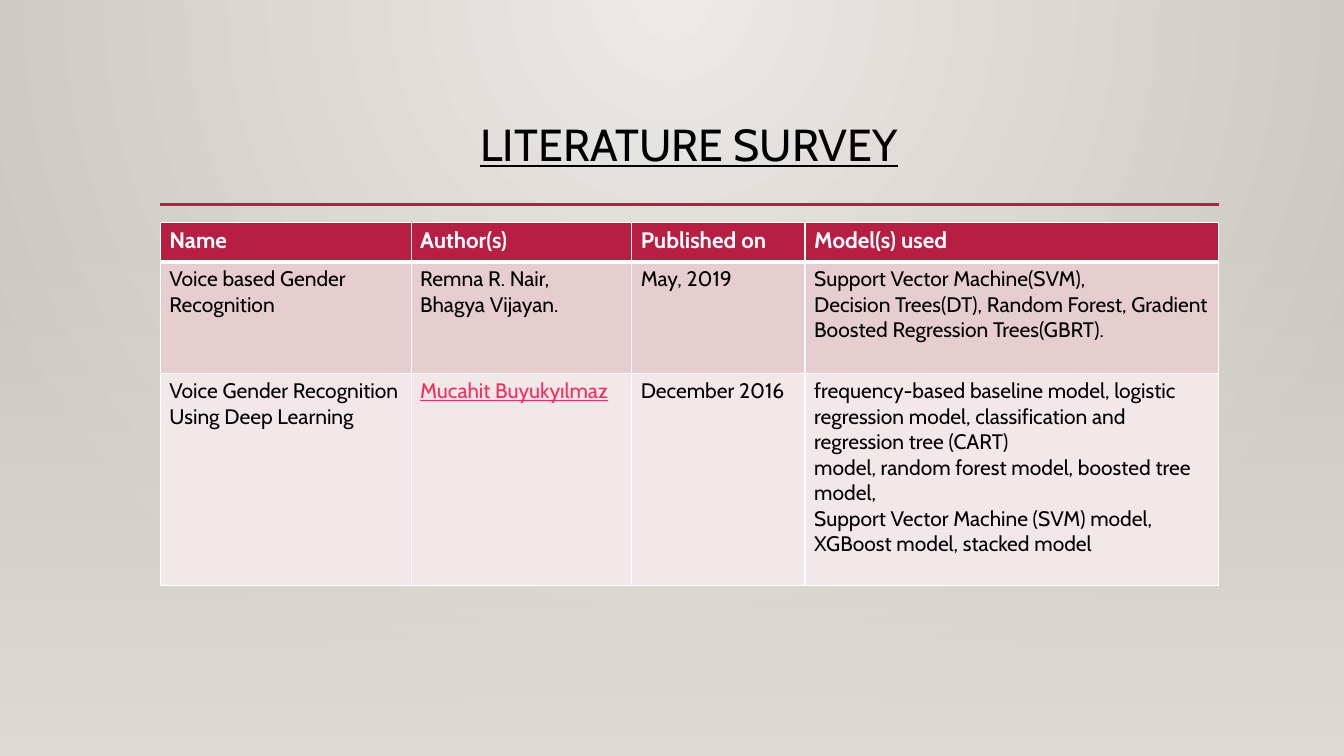
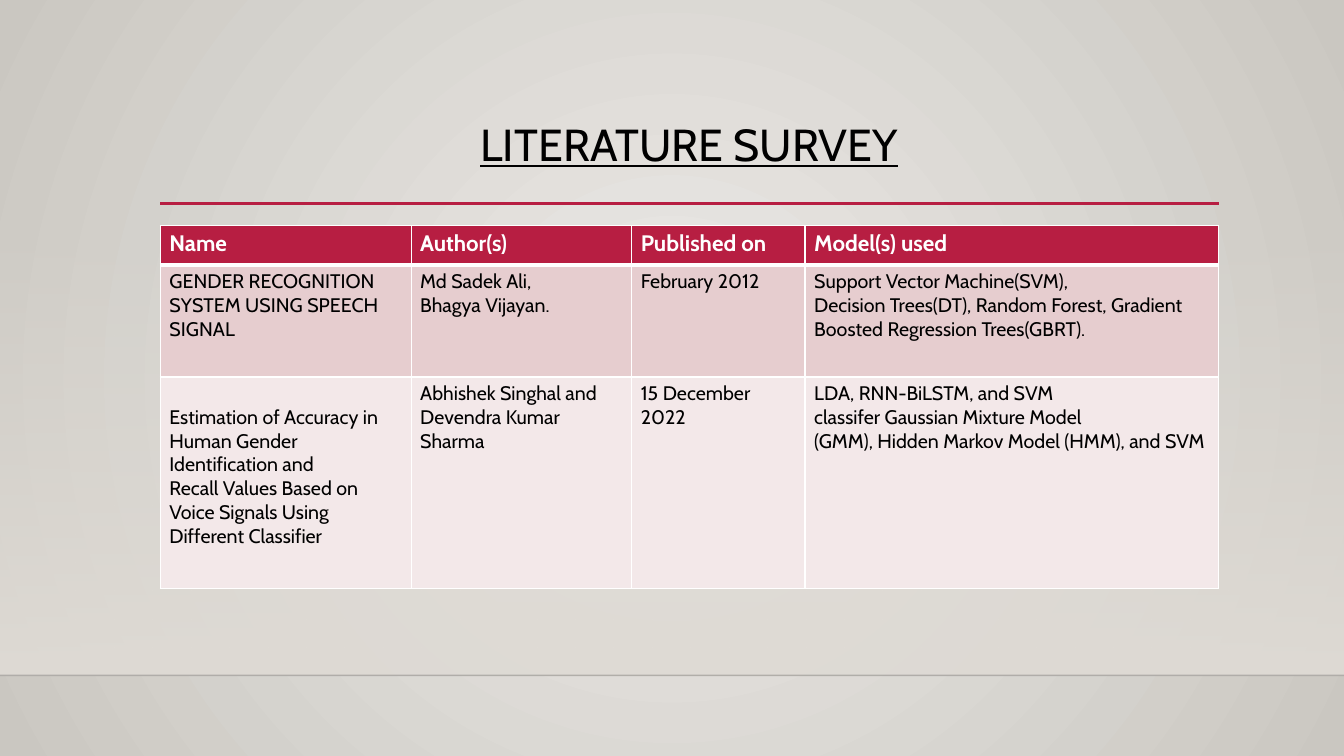
from lxml.etree import SubElement
from pptx import Presentation
from pptx.dml.color import RGBColor
from pptx.enum.shapes import MSO_CONNECTOR, MSO_SHAPE
from pptx.enum.text import MSO_ANCHOR, PP_ALIGN
from pptx.oxml import parse_xml
from pptx.oxml.ns import nsdecls, qn
from pptx.util import Cm, Pt

FONT = "Cabin"
CRIMSON = RGBColor(0xB7, 0x1E, 0x42)
ROSE = RGBColor(0xE6, 0xCD, 0xCF)
BLUSH = RGBColor(0xF3, 0xE8, 0xE9)
PINK = RGBColor(0xFA, 0x2B, 0x5C)
WHITE = RGBColor(0xFF, 0xFF, 0xFF)
BLACK = RGBColor(0, 0, 0)
FLOOR_LINE = RGBColor(0, 0, 1)
LIGHT = RGBColor(0xEC, 0xEA, 0xE7)
SHADE = RGBColor(0xCA, 0xC7, 0xC1)
SAND = RGBColor(0xDF, 0xDB, 0xD5)

SLIDE_W, SLIDE_H = Cm(33.87), Cm(19.05)
LEFT, CONTENT_W = Cm(4.04), Cm(26.67)
TITLE_TOP, TITLE_H = Cm(2.24), Cm(2.92)
BAND_TOP, FLOOR_TOP = Cm(5.61), Cm(17.02)
COLUMN_WIDTHS = [Cm(6.32), Cm(5.56), Cm(4.37), Cm(10.41)]
ROW_HEIGHTS = [Cm(0.99), Cm(2.82), Cm(5.33)]
ROW_FILLS = [CRIMSON, ROSE, BLUSH]
INSET_X, INSET_Y = Cm(0.23), Cm(0.11)

TITLE = "LITERATURE SURVEY"
HEADINGS = ["Name", "Author(s)", "Published on", "Model(s) used"]
TREE_MODELS = ("Support Vector Machine(SVM),\nDecision Trees(DT), Random Forest, "
               "Gradient Boosted Regression Trees(GBRT).")
LINKED_AUTHOR = "Mucahit Buyukyılmaz"
EARLY_PAPERS = [
    ["Voice based Gender Recognition", "Remna R. Nair,\nBhagya Vijayan.",
     "May, 2019", TREE_MODELS],
    ["Voice Gender Recognition Using Deep Learning", LINKED_AUTHOR, "December 2016",
     "frequency-based baseline model, logistic\n"
     "regression model, classification and regression tree (CART)\n"
     "model, random forest model, boosted tree model,\n"
     "Support Vector Machine (SVM) model, XGBoost model, stacked model"],
]
LATER_PAPERS = [
    ["GENDER RECOGNITION SYSTEM USING SPEECH SIGNAL",
     "Md Sadek Ali,\nBhagya Vijayan.", "February 2012", TREE_MODELS],
    ["Estimation of Accuracy in Human Gender Identification and\n"
     "Recall Values Based on Voice Signals Using Different Classifier",
     "Abhishek Singhal and Devendra Kumar Sharma", "15 December 2022",
     "LDA, RNN-BiLSTM, and SVM\nclassifer Gaussian Mixture Model\n"
     "(GMM), Hidden Markov Model (HMM), and SVM"],
]


def set_gradient(fill, owner, start, end, direction, start_alpha=100):
    """Give a fill found inside the owner element a two-stop gradient."""
    fill.background()
    empty = next(owner.iter(qn("a:noFill")))
    gradient = parse_xml(
        f'<a:gradFill {nsdecls("a")} rotWithShape="1"><a:gsLst>'
        f'<a:gs pos="0"><a:srgbClr val="{start}"><a:alpha val="{start_alpha * 1000}"/>'
        f'</a:srgbClr></a:gs><a:gs pos="100000"><a:srgbClr val="{end}"/></a:gs>'
        f'</a:gsLst>{direction}</a:gradFill>')
    empty.getparent().replace(empty, gradient)


def add_backdrop(slide, focus):
    """Light the slide from a focus given as left, top, right, bottom percent."""
    left, top, right, bottom = (percent * 1000 for percent in focus)
    set_gradient(slide.background.fill, slide.element, LIGHT, SHADE,
                 f'<a:path path="circle"><a:fillToRect l="{left}" t="{top}" '
                 f'r="{right}" b="{bottom}"/></a:path>')


def add_band(slide, top, bottom):
    """Fade a sand band in from top to bottom across the slide."""
    band = slide.shapes.add_shape(MSO_SHAPE.RECTANGLE, 0, top, SLIDE_W, bottom - top)
    band.shadow.inherit = False
    band.line.fill.background()
    set_gradient(band.fill, band.element.spPr, SAND, SAND,
                 '<a:lin ang="5400000" scaled="0"/>', start_alpha=0)


def add_rule(slide, left, top, width, color, weight, alpha=100):
    """Draw a horizontal line."""
    rule = slide.shapes.add_connector(MSO_CONNECTOR.STRAIGHT, left, top, left + width, top)
    rule.line.color.rgb = color
    rule.line.width = Pt(weight)
    if alpha < 100:
        tint = next(rule.element.iter(qn("a:srgbClr")))
        SubElement(tint, qn("a:alpha"), val=str(alpha * 1000))
    SubElement(rule.element.spPr, qn("a:effectLst"))


def style_text(paragraph, size, color, bold=False, underline=False):
    """Set the font of a whole paragraph."""
    font = paragraph.font
    font.name, font.size = FONT, Pt(size)
    font.bold, font.underline = bold, underline
    font.color.rgb = color


def add_title(slide, left, top, width, height, rule_top):
    """Place the underlined, centred title and the crimson rule under it."""
    frame = slide.shapes.add_textbox(left, top, width, height).text_frame
    frame.word_wrap = True
    frame.vertical_anchor = MSO_ANCHOR.MIDDLE
    frame.text = TITLE
    heading = frame.paragraphs[0]
    heading.alignment = PP_ALIGN.CENTER
    heading.line_spacing = 0.9
    style_text(heading, 32, BLACK, underline=True)
    add_rule(slide, left, rule_top, width, CRIMSON, 2.5)


def set_borders(cell, row):
    """Outline a cell in white, with a heavy line under the header row."""
    weights = {"L": 1, "R": 1, "T": 3 if row == 1 else 1, "B": 3 if row == 0 else 1}
    properties = cell._tc.get_or_add_tcPr()
    for side, weight in weights.items():
        properties.append(parse_xml(
            f'<a:ln{side} {nsdecls("a")} w="{Pt(weight)}"><a:solidFill>'
            f'<a:srgbClr val="{WHITE}"/></a:solidFill></a:ln{side}>'))


def add_survey(slide, left, top, papers, body_size):
    """Place the table of papers and return it."""
    table = slide.shapes.add_table(len(ROW_HEIGHTS), len(COLUMN_WIDTHS), left, top,
                                   sum(COLUMN_WIDTHS), sum(ROW_HEIGHTS)).table
    table.horz_banding = False
    for column, width in zip(table.columns, COLUMN_WIDTHS):
        column.width = width
    for row, texts in enumerate([HEADINGS, *papers]):
        table.rows[row].height = ROW_HEIGHTS[row]
        for column, text in enumerate(texts):
            cell = table.cell(row, column)
            set_borders(cell, row)
            cell.fill.solid()
            cell.fill.fore_color.rgb = ROW_FILLS[row]
            cell.margin_left = cell.margin_right = INSET_X
            cell.margin_top = cell.margin_bottom = INSET_Y
            cell.text = text
            linked = text == LINKED_AUTHOR
            for paragraph in cell.text_frame.paragraphs:
                if row == 0:
                    style_text(paragraph, 16, WHITE, bold=True)
                else:
                    style_text(paragraph, body_size, PINK if linked else BLACK,
                               underline=linked)
    return table


def build_early_slide(slide):
    """Build the survey slide lit from the top edge."""
    add_backdrop(slide, (43, 0, 43, 100))
    add_title(slide, LEFT, TITLE_TOP, CONTENT_W, TITLE_H, Cm(5.15))
    add_band(slide, BAND_TOP, SLIDE_H)
    add_survey(slide, LEFT, BAND_TOP, EARLY_PAPERS, 15)


def build_later_slide(slide):
    """Build the survey slide lit from its centre, with a floor line."""
    add_backdrop(slide, (50, 50, 50, 50))
    add_band(slide, BAND_TOP, FLOOR_TOP)
    add_rule(slide, 0, FLOOR_TOP, SLIDE_W, FLOOR_LINE, 1, alpha=20)
    add_title(slide, LEFT, TITLE_TOP, CONTENT_W, TITLE_H, Cm(5.13))
    survey = add_survey(slide, LEFT, Cm(5.69), LATER_PAPERS, 14)
    survey.cell(2, 0).margin_top = INSET_Y + Cm(0.6)


def main():
    """Build and save the presentation."""
    deck = Presentation()
    deck.slide_width, deck.slide_height = SLIDE_W, SLIDE_H
    for build in (build_early_slide, build_later_slide):
        build(deck.slides.add_slide(deck.slide_layouts[6]))
    deck.save("out.pptx")


main()
